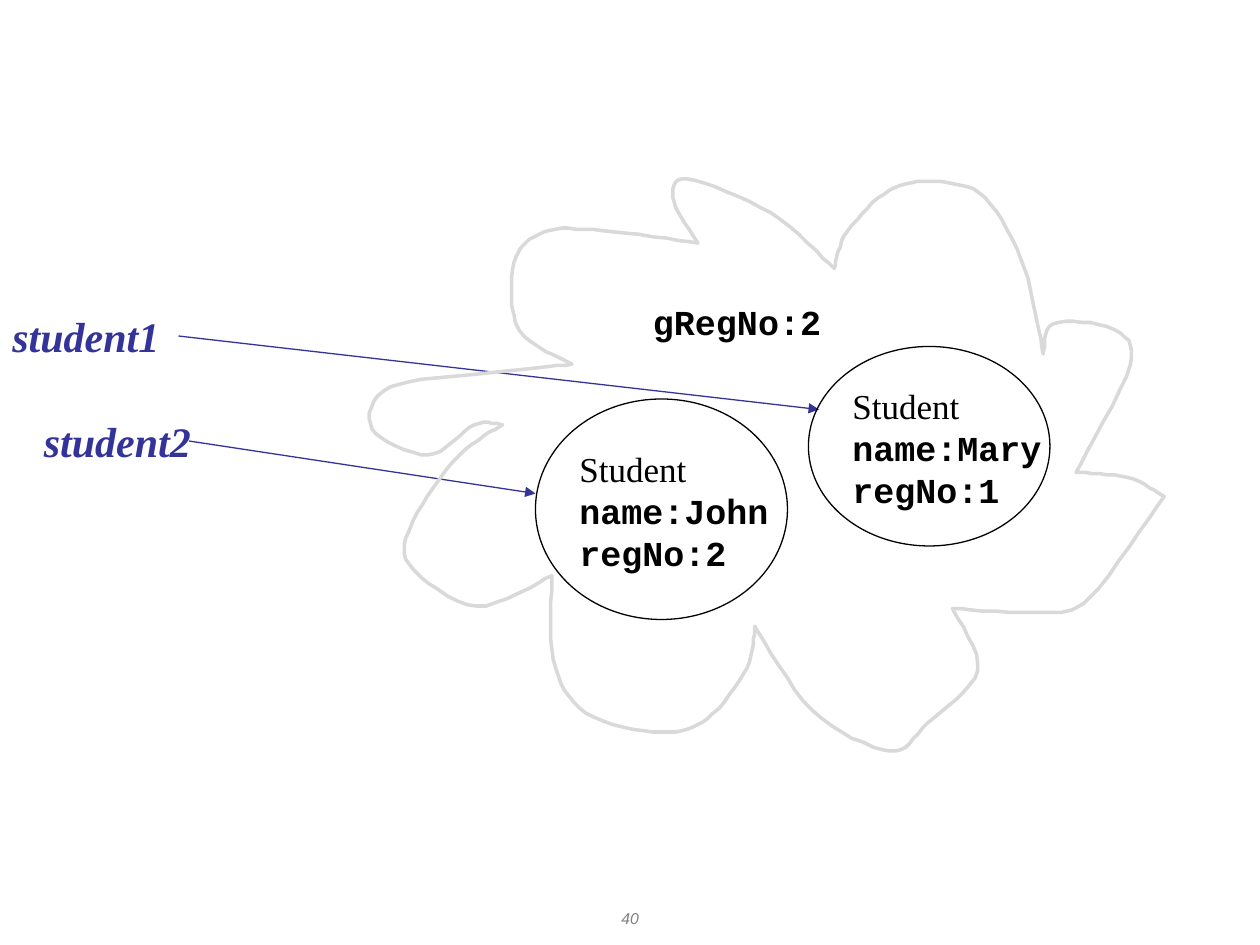
from lxml.etree import SubElement
from pptx import Presentation
from pptx.dml.color import RGBColor
from pptx.enum.shapes import MSO_CONNECTOR, MSO_SHAPE
from pptx.enum.text import MSO_AUTO_SIZE, PP_ALIGN
from pptx.oxml.ns import qn
from pptx.util import Inches, Pt

BLACK = RGBColor(0x00, 0x00, 0x00)
NAVY = RGBColor(0x33, 0x33, 0x99)
GRAY = RGBColor(0x80, 0x80, 0x80)
PALE = RGBColor(0xD9, 0xD9, 0xD9)
SERIF, MONO = "Times New Roman", "Courier New"

deck = Presentation()
deck.slide_width, deck.slide_height = Inches(10), Inches(7.5)
slide = deck.slides.add_slide(deck.slide_layouts[6])
shapes = slide.shapes
CELL = deck.slide_width / 120  # the slide is a grid of 120 by 90 cells


def grid(*cells):
    """Turn cell counts into lengths."""
    return [round(n * CELL) for n in cells]


def write(text, box, font=SERIF, size=20, color=BLACK, bold=False,
          italic=False, align=PP_ALIGN.LEFT, wrap=False, head=None):
    """Add a text box; head, if given, is a plain serif first line."""
    frame = shapes.add_textbox(*grid(*box)).text_frame
    frame.word_wrap = wrap
    frame.auto_size = MSO_AUTO_SIZE.NONE if wrap else MSO_AUTO_SIZE.SHAPE_TO_FIT_TEXT
    frame.text = f"{head}\n{text}" if head else text
    for i, para in enumerate(frame.paragraphs):
        title = bool(head) and i == 0
        para.alignment = align
        para.font.name = SERIF if title else font
        para.font.size = Pt(size)
        para.font.bold = bold and not title
        para.font.italic = italic
        para.font.color.rgb = color


# Objects on the heap
students = [
    ("name:Mary\nregNo:1", (80, 36), (77, 33, 23, 19)),
    ("name:John\nregNo:2", (54, 42), (51, 38, 24, 21)),
]
for text, spot, _ in students:
    write(text, (*spot, 20.4, 13.2), font=MONO, bold=True, head="Student")

# Variables and the objects they refer to
names = [
    ("student2", (3, 39), (18, 42, 51, 47)),
    ("student1", (0, 29), (17, 32, 78, 39)),
]
for text, spot, ends in names:
    write(text, (*spot, 23, 6), size=24, color=NAVY, bold=True, italic=True,
          wrap=True)
    arrow = shapes.add_connector(MSO_CONNECTOR.STRAIGHT, *grid(*ends))
    arrow.line.color.rgb = NAVY
    arrow.line.width = Pt(0.75)
    SubElement(arrow.line._get_or_add_ln(), qn("a:tailEnd"), type="triangle")
    SubElement(arrow._element.spPr, qn("a:effectLst"))

for _, _, box in students:
    oval = shapes.add_shape(MSO_SHAPE.OVAL, *grid(*box))
    oval.shadow.inherit = False
    oval.fill.background()
    oval.line.color.rgb = BLACK
    oval.line.width = Pt(0.75)

write("gRegNo:2", (61, 28, 18.4, 5.3), font=MONO, bold=True)

# Lobes of the heap in hundredths of an inch; each ends where the next starts
lobes = [
    [(399, 337), (364, 362), (328, 413), (325, 448), (378, 481)],
    [(438, 457), (439, 523), (465, 566), (525, 581), (562, 570), (593, 530)],
    [(599, 497), (645, 564), (706, 596), (736, 574), (776, 532)],
    [(756, 483), (828, 486), (865, 474)],
    [(924, 394), (895, 379)],
    [(854, 375), (897, 290), (883, 261), (836, 257)],
    [(828, 281), (813, 213), (782, 157), (742, 144), (706, 151), (673, 183)],
    [(662, 213), (612, 169), (545, 142), (535, 160)],
    [(554, 193), (477, 183), (432, 184), (408, 208), (412, 262)],
    [(454, 289), (388, 296), (310, 307), (295, 340), (340, 361), (377, 337)],
]
STEPS = 8
outline = []
for lobe, after in zip(lobes, lobes[1:] + lobes[:1]):
    knots = [lobe[0], *lobe, after[0], after[0]]
    # A Catmull-Rom curve runs smoothly through the knots of one lobe
    for quad in zip(knots, knots[1:], knots[2:], knots[3:]):
        for step in range(STEPS):
            t = step / STEPS
            outline.append([
                b + t * (c - a + t * (2 * a - 5 * b + 4 * c - d
                                      + t * (3 * (b - c) + d - a))) / 2
                for a, b, c, d in zip(*quad)
            ])

pen = shapes.build_freeform(*outline[0], scale=Inches(0.01))
pen.add_line_segments(outline[1:], close=True)
heap = pen.convert_to_shape()
heap.shadow.inherit = False
heap.fill.background()
heap.line.color.rgb = PALE
heap.line.width = Pt(2)

write("40", (46, 86, 28, 3.1), font="Arial", size=9, color=GRAY, italic=True,
      align=PP_ALIGN.CENTER, wrap=True)

deck.save("out.pptx")
